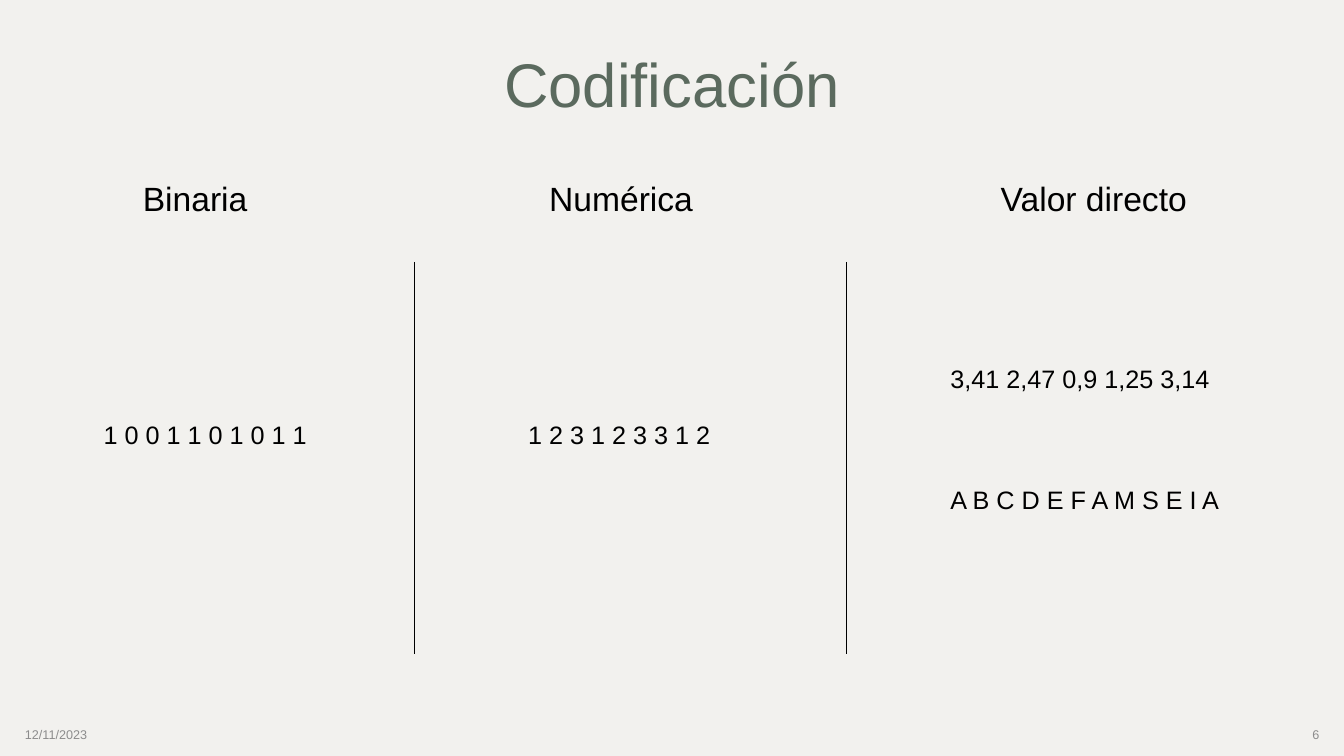
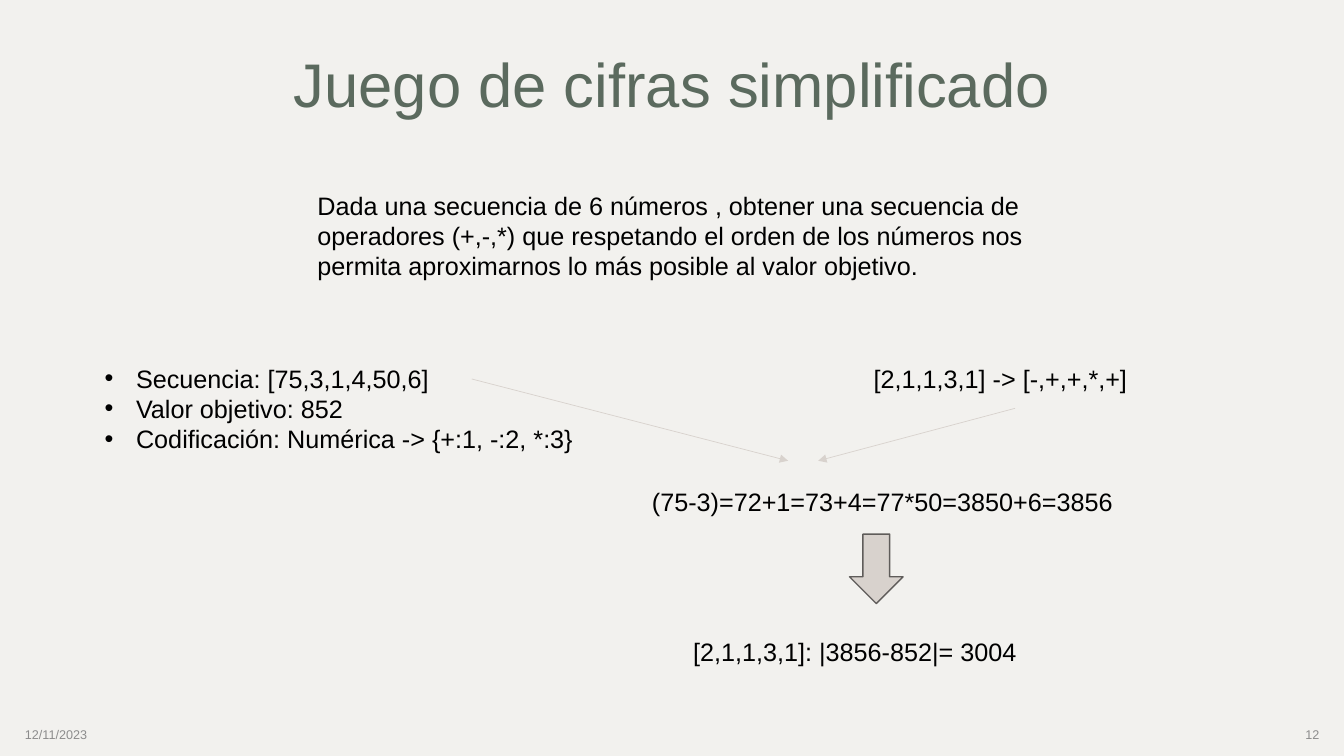
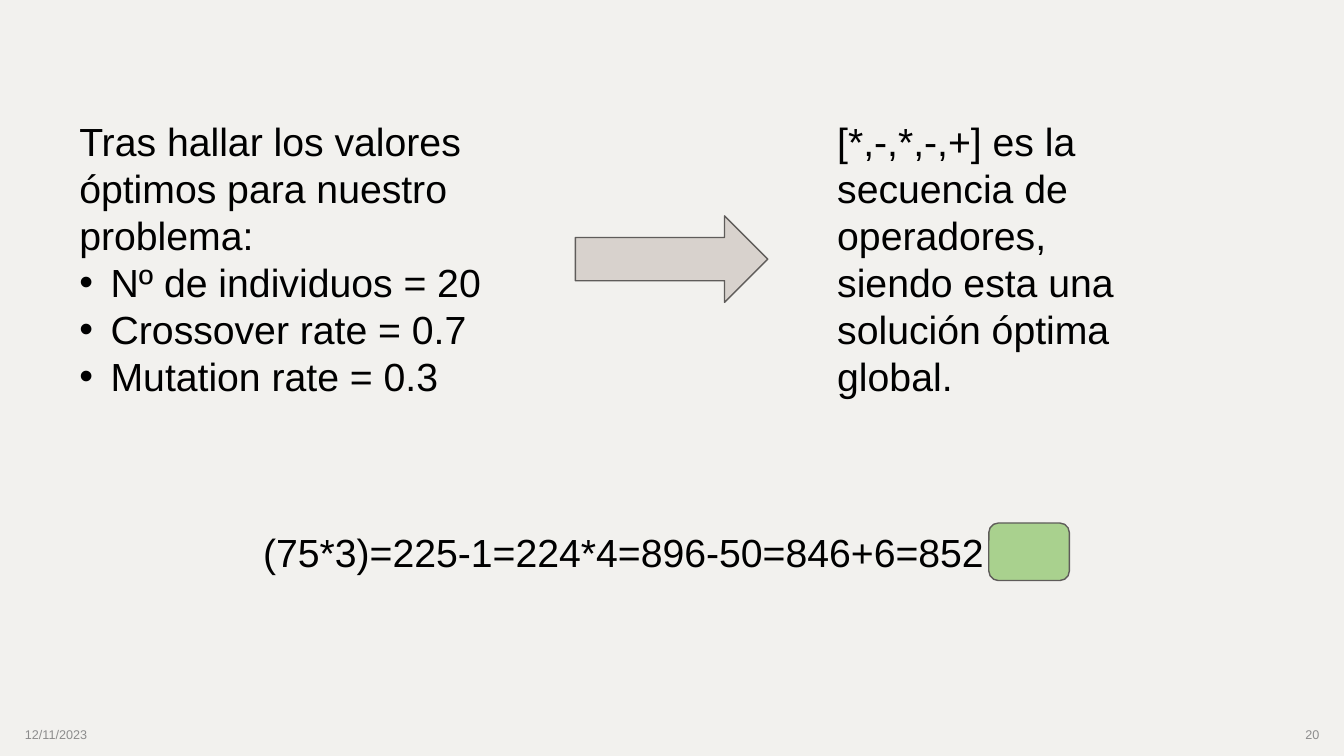
from pptx import Presentation
from pptx.dml.color import RGBColor
from pptx.enum.shapes import MSO_CONNECTOR, MSO_SHAPE
from pptx.enum.text import MSO_ANCHOR, MSO_AUTO_SIZE, PP_ALIGN
from pptx.oxml.ns import qn
from pptx.util import Cm, Pt
from lxml.etree import SubElement

# Shared style
FONT = "Arial"
BACKGROUND = RGBColor(0xF2, 0xF1, 0xEE)
TITLE_GREEN = RGBColor(0x5B, 0x6A, 0x5E)
FOOTER_GRAY = RGBColor(0x8C, 0x8C, 0x8C)
BLACK = RGBColor(0x00, 0x00, 0x00)
STONE = RGBColor(0xD8, 0xD2, 0xCD)
OUTLINE = RGBColor(0x5F, 0x5C, 0x5A)
LIGHT_GREEN = RGBColor(0xA9, 0xD1, 0x8E)

TITLE_ONLY, BLANK = 5, 6
BULLET_INDENT = Cm(0.79)
DATE = "12/11/2023"


def format_paragraph(paragraph, text, size, color, align=PP_ALIGN.LEFT):
    paragraph.alignment = align
    run = paragraph.add_run()
    run.text = text
    run.font.name = FONT
    run.font.size = Pt(size)
    run.font.color.rgb = color


def make_bullet(paragraph):
    properties = paragraph._p.get_or_add_pPr()
    properties.set("marL", str(BULLET_INDENT))
    properties.set("indent", str(-BULLET_INDENT))
    SubElement(properties, qn("a:buFont")).set("typeface", FONT)
    SubElement(properties, qn("a:buChar")).set("char", "•")


def add_text(slide, left, top, width, height, *lines, bullets=(), size=18,
             color=BLACK, align=PP_ALIGN.LEFT, anchor=MSO_ANCHOR.TOP):
    """Add plain lines followed by bulleted ones."""
    box = slide.shapes.add_textbox(Cm(left), Cm(top), Cm(width), Cm(height))
    frame = box.text_frame
    frame.word_wrap = True
    frame.vertical_anchor = anchor
    for index, text in enumerate([*lines, *bullets]):
        paragraph = frame.add_paragraph() if index else frame.paragraphs[0]
        format_paragraph(paragraph, text, size, color, align)
        if index >= len(lines):
            make_bullet(paragraph)


def add_title(slide, text):
    title = slide.shapes.title
    title.left, title.top = Cm(2.36), Cm(0.33)
    title.width, title.height = Cm(29.16), Cm(3.76)
    frame = title.text_frame
    frame.auto_size = MSO_AUTO_SIZE.NONE
    frame.vertical_anchor = MSO_ANCHOR.MIDDLE
    paragraph = frame.paragraphs[0]
    paragraph.line_spacing = 0.9
    format_paragraph(paragraph, text, 44, TITLE_GREEN, PP_ALIGN.CENTER)


def add_slide(presentation, number, title=None):
    layout = presentation.slide_layouts[TITLE_ONLY if title else BLANK]
    slide = presentation.slides.add_slide(layout)
    if title:
        add_title(slide, title)
    for left, text, align in ((0.38, DATE, PP_ALIGN.LEFT),
                              (25.88, str(number), PP_ALIGN.RIGHT)):
        add_text(slide, left, 18.01, 7.62, 1.02, text, size=9,
                 color=FOOTER_GRAY, align=align, anchor=MSO_ANCHOR.MIDDLE)
    return slide


def add_line(slide, start, end, color, arrow=False):
    line = slide.shapes.add_connector(
        MSO_CONNECTOR.STRAIGHT, *map(Cm, start), *map(Cm, end))
    line.line.color.rgb = color
    line.line.width = Pt(0.5)
    if arrow:
        SubElement(line.line._get_or_add_ln(), qn("a:tailEnd")).set("type", "triangle")
    SubElement(line._element.spPr, qn("a:effectLst"))


def add_filled_shape(slide, kind, left, top, width, height, fill=STONE):
    shape = slide.shapes.add_shape(kind, Cm(left), Cm(top), Cm(width), Cm(height))
    shape.shadow.inherit = False
    shape.fill.solid()
    shape.fill.fore_color.rgb = fill
    shape.line.color.rgb = OUTLINE
    shape.line.width = Pt(1)


def build_encoding(presentation):
    slide = add_slide(presentation, 6, "Codificación")
    # Column dividers
    for x in (10.44, 21.34):
        add_line(slide, (x, 6.6), (x, 16.48), BLACK)
    # Column headings
    for left, width, text in ((3.35, 3.48, "Binaria"),
                              (13.59, 4.6, "Numérica"),
                              (24.97, 5.92, "Valor directo")):
        add_text(slide, left, 4.37, width, 1.27, text, size=24)
    # Sample chromosomes
    for left, top, width, text in (
            (2.36, 10.44, 5.94, "1 0 0 1 1 0 1 0 1 1"),
            (13.06, 10.44, 5.69, "1 2 3 1 2 3 3 1 2"),
            (23.7, 9.02, 7.62, "3,41 2,47 0,9 1,25 3,14"),
            (23.7, 12.09, 7.62, "A B C D E F A M S E I A")):
        add_text(slide, left, top, width, 1.02, text)


def build_number_game(presentation):
    slide = add_slide(presentation, 12, "Juego de cifras simplificado")
    # Problem statement and data
    add_text(slide, 7.75, 4.67, 18.39, 3.33,
             "Dada una secuencia de 6 números , obtener una secuencia de "
             "operadores (+,-,*) que respetando el orden de los números nos "
             "permita aproximarnos lo más posible al valor objetivo.")
    add_text(slide, 2.39, 9.02, 13.41, 3.33,
             bullets=("Secuencia: [75,3,1,4,50,6]", "Valor objetivo: 852",
                      "Codificación: Numérica -> {+:1, -:2, *:3}"))
    # Worked example
    add_text(slide, 21.77, 9.02, 7.62, 1.02, "[2,1,1,3,1] -> [-,+,+,*,+]")
    add_text(slide, 16.18, 12.12, 13.21, 1.02, "(75-3)=72+1=73+4=77*50=3850+6=3856")
    add_line(slide, (11.89, 9.55), (19.86, 11.61), STONE, arrow=True)
    add_line(slide, (25.58, 10.29), (20.62, 11.61), STONE, arrow=True)
    add_filled_shape(slide, MSO_SHAPE.DOWN_ARROW, 21.41, 13.46, 1.35, 1.75)
    add_text(slide, 17.22, 15.9, 9.75, 1.02, "[2,1,1,3,1]: |3856-852|= 3004")


def build_solution(presentation):
    slide = add_slide(presentation, 20)
    # Parameters lead to the operators
    add_text(slide, 1.75, 2.82, 13.23, 7.44,
             "Tras hallar los valores óptimos para nuestro problema:",
             bullets=("Nº de individuos = 20", "Crossover rate = 0.7",
                      "Mutation rate = 0.3"), size=28)
    add_filled_shape(slide, MSO_SHAPE.RIGHT_ARROW, 14.5, 5.44, 4.85, 2.18)
    add_text(slide, 20.85, 2.82, 8.84, 7.44,
             "[*,-,*,-,+] es la secuencia de operadores, siendo esta una "
             "solución óptima global.", size=28)
    # Check of the result
    add_filled_shape(slide, MSO_SHAPE.ROUNDED_RECTANGLE, 24.92, 13.18, 2.03, 1.45,
                     fill=LIGHT_GREEN)
    add_text(slide, 6.38, 13.18, 21.11, 2.24,
             "(75*3)=225-1=224*4=896-50=846+6=852", size=28)


def main():
    presentation = Presentation()
    presentation.slide_width, presentation.slide_height = Cm(33.87), Cm(19.05)
    background = presentation.slide_master.background.fill
    background.solid()
    background.fore_color.rgb = BACKGROUND
    build_encoding(presentation)
    build_number_game(presentation)
    build_solution(presentation)
    presentation.save("out.pptx")


if __name__ == "__main__":
    main()
